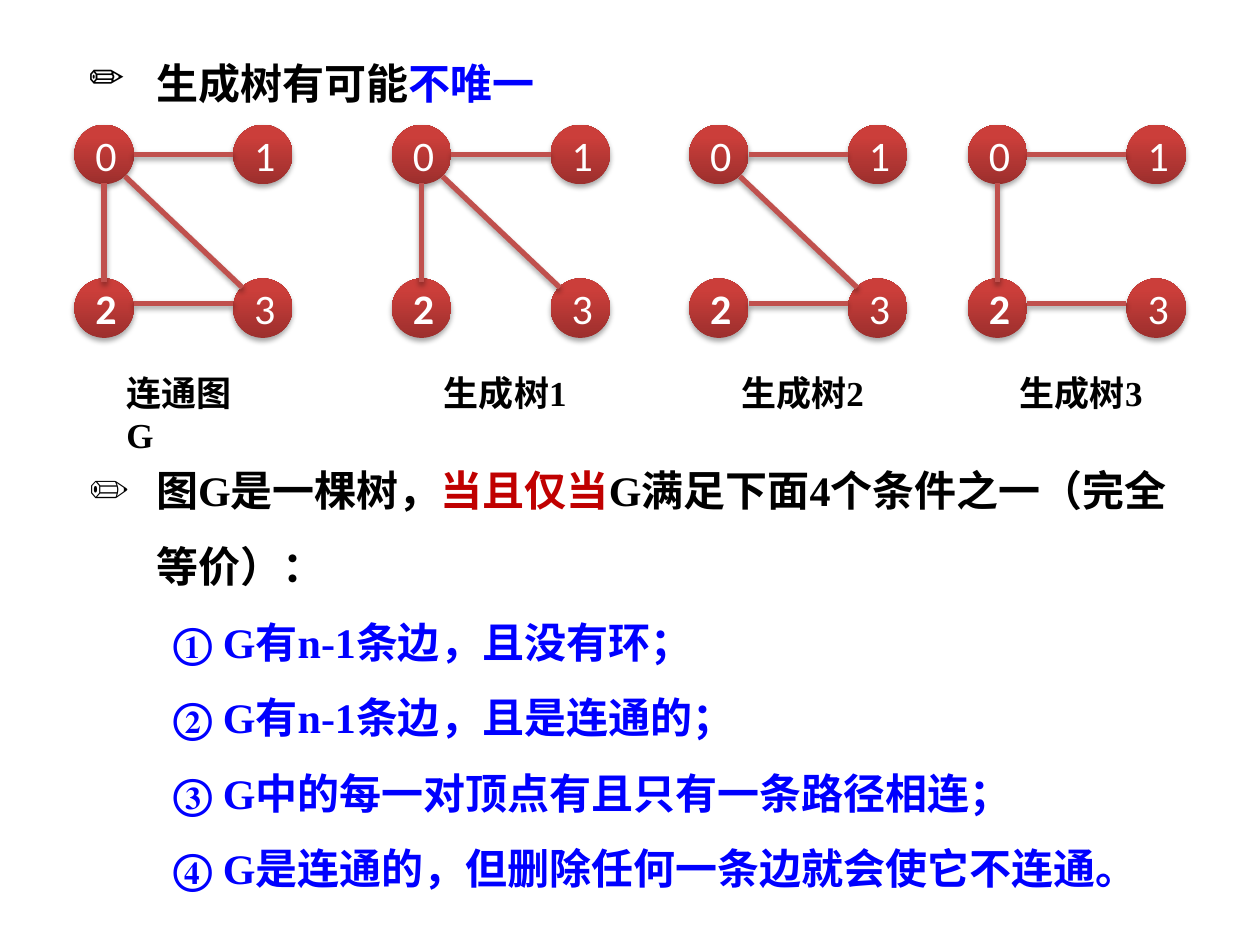
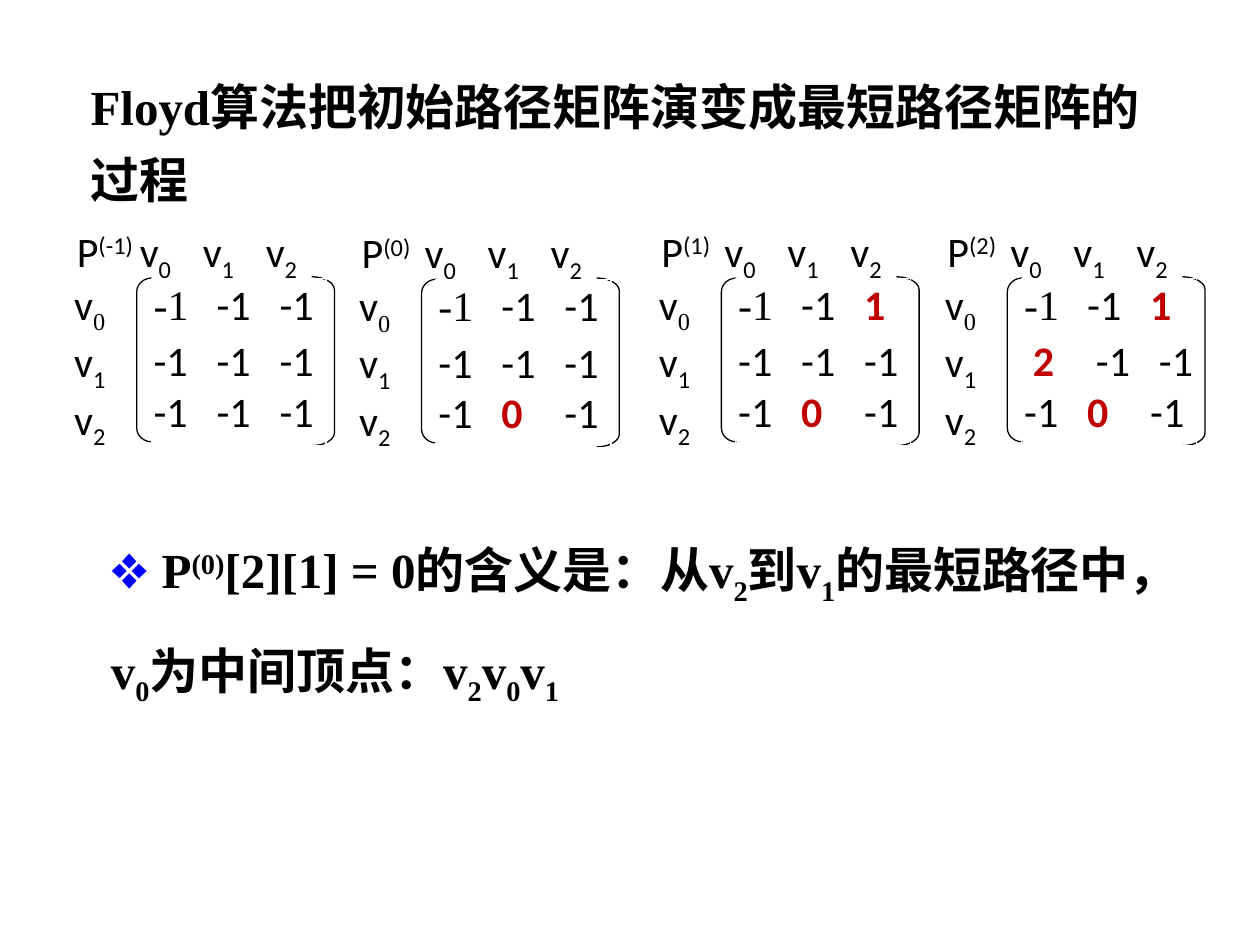
"""Build two slides on spanning trees and Floyd path matrices."""
from dataclasses import dataclass
from typing import NamedTuple

from lxml.etree import SubElement
from pptx import Presentation
from pptx.dml.color import RGBColor
from pptx.enum.shapes import MSO_CONNECTOR, MSO_SHAPE
from pptx.enum.text import MSO_ANCHOR, MSO_AUTO_SIZE, PP_ALIGN
from pptx.oxml.ns import qn
from pptx.util import Pt


@dataclass(frozen=True)
class Theme:
    """Colours, fonts and type sizes shared by both slides."""
    ink: str = "000000"
    paper: str = "FFFFFF"
    blue: str = "0000FF"
    red: str = "C00000"
    edge: str = "C0504D"
    node_dark: str = "9C2F2D"
    node_light: str = "CB3E3A"
    serif: str = "Times New Roman"
    sans: str = "Calibri"
    chinese: str = "Noto Sans CJK SC"
    heading: float = 28
    text: float = 24
    caption: float = 20


THEME = Theme()


class Span(NamedTuple):
    """A stretch of text with one look."""
    text: str
    color: str = THEME.ink
    bold: bool = False
    font: str = THEME.sans
    base: int = 0


class Box(NamedTuple):
    """A frame in points."""
    left: float
    top: float
    width: float
    height: float


class Graph(NamedTuple):
    """A four-vertex graph with its caption."""
    left: float
    caption: str
    edges: tuple[str, ...]


class Row(NamedTuple):
    """A matrix row; a star marks a changed value."""
    cells: str
    tabs: tuple[float, ...]
    indent: float = 0


class Matrix(NamedTuple):
    """A path matrix with its step number and column stops."""
    left: float
    top: float
    step: str
    column_tabs: tuple[float, ...]
    rows: tuple[Row, ...]


NODE_SIZE = 34
NODE_TOP = 71.3
NODE_PLACES = {"0": (0, 0), "2": (0, 87.8), "1": (90.7, 0), "3": (90.7, 87.8)}
EDGE_ENDS = {
    "01": (34, 17, 90.7, 17),
    "02": (17, 33, 17, 90),
    "03": (29, 29.5, 96, 93),
    "23": (34, 102.2, 90.7, 102.2),
}
GRAPHS = (
    Graph(42.5, "连通图G", ("01", "02", "03", "23")),
    Graph(223.9, "生成树1", ("01", "02", "03")),
    Graph(393.8, "生成树2", ("01", "03", "23")),
    Graph(553, "生成树3", ("01", "02", "23")),
)
CONDITIONS = (
    "① G有n-1条边，且没有环；",
    "② G有n-1条边，且是连通的；",
    "③ G中的每一对顶点有且只有一条路径相连；",
    "④ G是连通的，但删除任何一条边就会使它不连通。",
)

PLAIN_FIRST = Row("-1 -1 -1", (32.5, 67.5))
PLAIN = Row("-1 -1 -1", (35.5, 71))
CHANGED_FIRST = Row("-1 -1 *1", (32.5, 74))
CHANGED_LAST = Row("-1 *0 -1", (41, 75))
MATRICES = (
    Matrix(39.6, 128.9, "-1", (38.5, 75, 108.5), (PLAIN_FIRST, PLAIN, PLAIN)),
    Matrix(202.4, 129.6, "0", (34.5, 71, 105),
           (PLAIN_FIRST, PLAIN, Row("-1 *0 -1", (41, 69.5)))),
    Matrix(373.7, 128.9, "1", (47, 77, 105), (CHANGED_FIRST, PLAIN, CHANGED_LAST)),
    Matrix(537.1, 128.9, "2", (47, 77, 105),
           (CHANGED_FIRST, Row("*2 -1 -1", (34, 70), 5), CHANGED_LAST)),
)


def serif(text: str, color: str = THEME.ink, base: int = 0) -> Span:
    """Return a bold serif span."""
    return Span(text, color, True, THEME.serif, base)


def write(paragraph, spans: list[Span], size: float, spacing: float = 1) -> None:
    """Fill a paragraph with formatted spans."""
    paragraph.line_spacing = spacing
    paragraph.space_before = Pt(0)
    for span in spans:
        run = paragraph.add_run()
        run.text = span.text
        font = run.font
        font.size, font.bold, font.name = Pt(size), span.bold, span.font
        font.color.rgb = RGBColor.from_string(span.color)
        properties = run._r.get_or_add_rPr()
        properties.set("lang", "zh-CN")
        if span.base:
            properties.set("baseline", str(span.base * 1000))
        SubElement(properties, qn("a:ea")).set("typeface", THEME.sans)


def indent(paragraph, margin: float = 0, hanging: float = 0, bullet: str = "",
           tabs: tuple[float, ...] = ()) -> None:
    """Set the margin, bullet and tab stops of a paragraph."""
    paragraph.alignment = PP_ALIGN.LEFT
    properties = paragraph._p.get_or_add_pPr()
    properties.set("marL", str(Pt(margin)))
    properties.set("indent", str(Pt(-hanging)))
    if bullet:
        SubElement(properties, qn("a:buChar")).set("char", bullet)
    else:
        SubElement(properties, qn("a:buNone"))
    if tabs:
        stops = SubElement(properties, qn("a:tabLst"))
        for position in tabs:
            stop = SubElement(stops, qn("a:tab"))
            stop.set("pos", str(Pt(position)))
            stop.set("algn", "l")


def set_frame(shape, side: float, end: float):
    """Set wrapping, top anchor and insets, and return the text frame."""
    frame = shape.text_frame
    frame.word_wrap = True
    frame.auto_size = MSO_AUTO_SIZE.NONE
    frame.vertical_anchor = MSO_ANCHOR.TOP
    frame.margin_left = frame.margin_right = Pt(side)
    frame.margin_top = frame.margin_bottom = Pt(end)
    return frame


def place(placeholder, box: Box, side: float = 7.2):
    """Move a placeholder and return its text frame."""
    placeholder.left, placeholder.top, placeholder.width, placeholder.height = map(Pt, box)
    return set_frame(placeholder, side, 3.6)


def add_soft_shadow(shape) -> None:
    """Give a shape or connector a soft downward shadow."""
    properties = shape._element.spPr
    effects = properties.find(qn("a:effectLst"))
    if effects is None:
        effects = SubElement(properties, qn("a:effectLst"))
    shadow = SubElement(effects, qn("a:outerShdw"))
    for key, value in (("blurRad", Pt(3.1)), ("dist", Pt(1.8)),
                       ("dir", 5400000), ("rotWithShape", 0)):
        shadow.set(key, str(value))
    tint = SubElement(shadow, qn("a:srgbClr"))
    tint.set("val", THEME.ink)
    SubElement(tint, qn("a:alpha")).set("val", "35000")


def add_node(slide, left: float, top: float, label: str) -> None:
    """Draw one numbered vertex."""
    node = slide.shapes.add_shape(MSO_SHAPE.OVAL, *map(Pt, (left, top, NODE_SIZE, NODE_SIZE)))
    node.shadow.inherit = False
    node.fill.gradient()
    node.fill.gradient_angle = 90
    dark, light = node.fill.gradient_stops
    dark.color.rgb = RGBColor.from_string(THEME.node_dark)
    light.color.rgb = RGBColor.from_string(THEME.node_light)
    dark.position, light.position = 0, 0.8
    node.line.fill.background()
    add_soft_shadow(node)
    number = node.text_frame.paragraphs[0]
    number.alignment = PP_ALIGN.CENTER
    write(number, [Span(label, THEME.paper, label == "2")], THEME.text)


def add_graph(slide, graph: Graph) -> None:
    """Draw a graph's vertices, edges and caption."""
    for label, (across, down) in NODE_PLACES.items():
        add_node(slide, graph.left + across, NODE_TOP + down, label)
    for name in graph.edges:
        x1, y1, x2, y2 = EDGE_ENDS[name]
        edge = slide.shapes.add_connector(
            MSO_CONNECTOR.STRAIGHT, Pt(graph.left + x1), Pt(NODE_TOP + y1),
            Pt(graph.left + x2), Pt(NODE_TOP + y2))
        edge.line.color.rgb = RGBColor.from_string(THEME.edge)
        edge.line.width = Pt(3)
        add_soft_shadow(edge)
    caption = slide.shapes.add_textbox(*map(Pt, (graph.left + 22.7, 208.5, 85, 56)))
    write(set_frame(caption, 7.2, 3.6).paragraphs[0], [serif(graph.caption)], THEME.caption)


def add_outline(slide, kind: MSO_SHAPE, box: Box, color: str):
    """Draw an unfilled shape with a thin line."""
    shape = slide.shapes.add_shape(kind, *map(Pt, box))
    shape.shadow.inherit = False
    shape.fill.background()
    shape.line.color.rgb = RGBColor.from_string(color)
    shape.line.width = Pt(0.75)
    return shape


def vertex(index: int, lead: str = "", digit_font: str = THEME.sans) -> list[Span]:
    """Return a vertex name with its subscript."""
    return [Span(lead + "v"), Span(str(index), font=digit_font, base=-25)]


def add_matrix(slide, matrix: Matrix) -> None:
    """Draw a path matrix with its row and column names."""
    left, top = matrix.left, matrix.top
    columns = add_outline(slide, MSO_SHAPE.RECTANGLE, Box(left, top, 152, 30.2), THEME.paper)
    header = set_frame(columns, 4.3, 0).paragraphs[0]
    indent(header, tabs=matrix.column_tabs)
    names = [span for index in range(3) for span in vertex(index, "\t")]
    write(header, [Span("P"), Span(f"({matrix.step})", base=30), *names], THEME.text)

    for kind, box, curve in (
            (MSO_SHAPE.LEFT_BRACKET, Box(left + 38.5, top + 30, 8.6, 93.6), 0.927),
            (MSO_SHAPE.RIGHT_BRACKET, Box(left + 138.5, top + 29.3, 13, 96.5), 0.563)):
        add_outline(slide, kind, box, THEME.ink).adjustments[0] = curve

    values = add_outline(slide, MSO_SHAPE.RECTANGLE,
                         Box(left + 46.8, top + 30.2, 100, 95.8), THEME.paper)
    value_frame = set_frame(values, 1.4, 0)
    for number, row in enumerate(matrix.rows):
        line = value_frame.paragraphs[0] if number == 0 else value_frame.add_paragraph()
        indent(line, row.indent, tabs=row.tabs)
        spans = []
        for column, cell in enumerate(row.cells.split()):
            changed = cell.startswith("*")
            font = THEME.serif if number == column == 0 else THEME.sans
            spans.append(Span("\t" * (column > 0) + cell.lstrip("*"),
                              THEME.red if changed else THEME.ink, changed, font))
        write(line, spans, THEME.text)
        if number == 0:
            line.space_after = Pt(3.5)

    row_names = add_outline(slide, MSO_SHAPE.RECTANGLE,
                            Box(left + 1.4, top + 30.2, 29.5, 99.4), THEME.paper)
    name_frame = set_frame(row_names, 1.4, 0)
    for index in range(3):
        line = name_frame.paragraphs[0] if index == 0 else name_frame.add_paragraph()
        indent(line)
        write(line, vertex(index, digit_font=THEME.sans if index else THEME.serif), THEME.text)


def build_tree_slide(slide) -> None:
    """Show the spanning trees and the tree conditions."""
    title = place(slide.shapes.title, Box(51, 15, 637, 45.4), 0).paragraphs[0]
    indent(title, 38.2, 38.2, "✏")
    write(title, [serif("生成树有可能"), serif("不唯一", THEME.blue)], THEME.text, 1.5)
    for graph in GRAPHS:
        add_graph(slide, graph)
    body = place(slide.placeholders[1], Box(51, 247.7, 637, 263.5), 0)
    statement = body.paragraphs[0]
    indent(statement, 38.2, 38.2, "✏")
    write(statement, [serif("图G是一棵树，"), Span("当且仅当", THEME.red, True, THEME.chinese),
                      serif("G满足下面4个条件之一（完全等价）：")], THEME.text, 1.5)
    for condition in CONDITIONS:
        line = body.add_paragraph()
        indent(line, 48)
        write(line, [serif(condition, THEME.blue)], THEME.text, 1.5)


def build_floyd_slide(slide) -> None:
    """Show how the path matrix evolves and what one value means."""
    title = place(slide.shapes.title, Box(44.6, 31.7, 627, 88)).paragraphs[0]
    indent(title)
    write(title, [serif("Floyd算法把初始路径矩阵演变成最短路径矩阵的过程")], THEME.heading, 1.25)
    for matrix in MATRICES:
        add_matrix(slide, matrix)
    meaning = place(slide.placeholders[1], Box(56.2, 285.8, 610, 108.7)).paragraphs[0]
    indent(meaning)
    spans = [serif("❖ ", THEME.blue), serif("P"), serif("(0)", base=30)]
    for words, subscript in (("[2][1] = 0的含义是：从v", "2"), ("到v", "1"),
                             ("的最短路径中，v", "0"), ("为中间顶点：v", "2"),
                             ("v", "0"), ("v", "1")):
        spans += [serif(words), serif(subscript, base=-25)]
    write(meaning, spans, THEME.heading, 1.5)


def main() -> None:
    """Build and save the presentation."""
    deck = Presentation()
    deck.slide_width, deck.slide_height = Pt(720), Pt(540)
    for build in (build_tree_slide, build_floyd_slide):
        build(deck.slides.add_slide(deck.slide_layouts[1]))
    deck.save("out.pptx")


if __name__ == "__main__":
    main()
